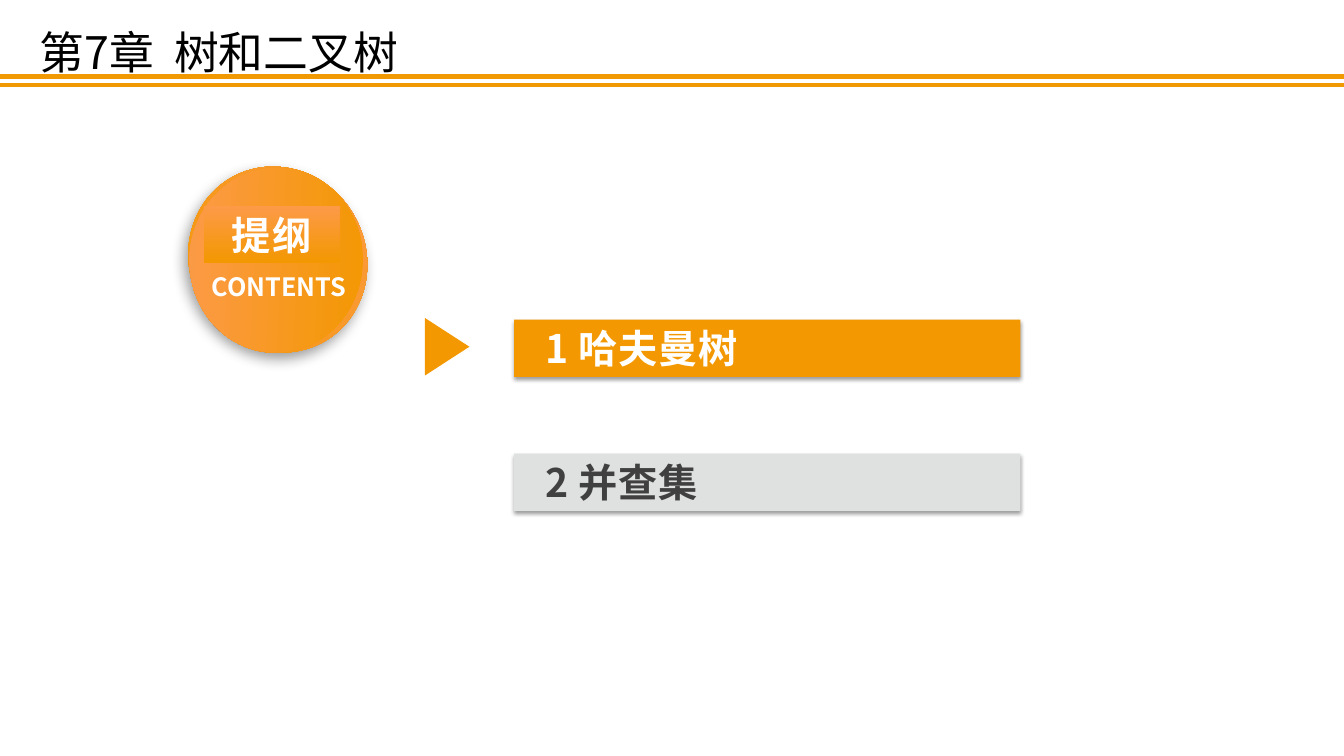
from dataclasses import dataclass

from lxml import etree
from pptx import Presentation
from pptx import util as u
from pptx.dml.color import RGBColor
from pptx.enum import shapes, text
from pptx.oxml.ns import qn


@dataclass(frozen=True)
class Theme:
    font: str = "Noto Sans CJK SC"
    orange: str = "F39801"
    peach: str = "FC9A48"
    rule: str = "F19903"
    grey: str = "DFE1E0"
    dark: str = "404040"
    white: str = "FFFFFF"
    black: str = "000000"
    title_size: int = 32
    heading_size: int = 28
    caption_size: int = 18


class Deck:
    """Draws on one slide; lengths are percentages of its width and height."""

    def __init__(self, theme):
        self.theme = theme
        self.prs = Presentation()
        self.prs.slide_width = u.Inches(13.33)
        self.prs.slide_height = u.Inches(7.5)
        self.slide = self.prs.slides.add_slide(self.prs.slide_layouts[5])

    def box(self, left, top, width, height):
        across, down = self.prs.slide_width / 100, self.prs.slide_height / 100
        return (int(left * across), int(top * down),
                int(width * across), int(height * down))

    def label(self, frame, words, size, color, bold=True, spacing=0,
              align=text.PP_ALIGN.CENTER, indent=0.1):
        frame.word_wrap = True
        frame.auto_size = text.MSO_AUTO_SIZE.NONE
        frame.vertical_anchor = text.MSO_ANCHOR.MIDDLE
        frame.margin_left, frame.margin_right = u.Inches(indent), u.Inches(0.1)
        frame.margin_top = frame.margin_bottom = u.Inches(0.05)
        frame.text = words
        line = frame.paragraphs[0]
        line.alignment = align
        line.font.size, line.font.bold = u.Pt(size), bold
        line.font.color.rgb = RGBColor.from_string(color)
        line.font.name = self.theme.font
        # East Asian typeface and letter spacing
        props = line._p.pPr.find(qn("a:defRPr"))
        props.set("spc", str(int(spacing * 100)))
        etree.SubElement(props, qn("a:ea"), typeface=self.theme.font)

    def title(self, words, *place):
        heading = self.slide.shapes.title
        heading.left, heading.top, heading.width, heading.height = self.box(*place)
        self.label(heading.text_frame, words, self.theme.title_size,
                   self.theme.black, bold=False, align=text.PP_ALIGN.LEFT)

    def rule(self, top):
        left, y, width, _ = self.box(0, top, 100, 0)
        rule = self.slide.shapes.add_connector(
            shapes.MSO_CONNECTOR.STRAIGHT, left, y, left + width, y)
        rule.line.color.rgb = RGBColor.from_string(self.theme.rule)
        rule.line.width = u.Pt(3)
        etree.SubElement(rule._element.spPr, qn("a:effectLst"))

    def shape(self, kind, *place, fill=None, rotation=0, shadow=None):
        """Without a fill colour the shape takes the orange gradient."""
        item = self.slide.shapes.add_shape(kind, *self.box(*place))
        item.rotation = rotation
        item.line.fill.background()
        item.shadow.inherit = False
        if fill:
            item.fill.solid()
            item.fill.fore_color.rgb = RGBColor.from_string(fill)
        else:
            item.fill.gradient()
            item.fill.gradient_angle = 90
            for stop, color in zip(item.fill.gradient_stops,
                                   (self.theme.orange, self.theme.peach)):
                stop.color.rgb = RGBColor.from_string(color)
        if shadow:
            self.cast(item, *shadow)
        return item

    def cast(self, item, opacity, blur, distance, angle):
        effects = item._element.spPr.find(qn("a:effectLst"))
        outer = etree.SubElement(
            effects, qn("a:outerShdw"), blurRad=str(int(u.Pt(blur))),
            dist=str(int(u.Pt(distance))), dir=str(angle * 60000),
            algn="ctr", rotWithShape="0")
        color = etree.SubElement(outer, qn("a:srgbClr"), val=self.theme.black)
        etree.SubElement(color, qn("a:alpha"), val=str(opacity * 1000))

    def caption(self, words, *place):
        caption = self.slide.shapes.add_textbox(*self.box(*place))
        self.label(caption.text_frame, words, self.theme.caption_size,
                   self.theme.white)


def main():
    theme = Theme()
    deck = Deck(theme)
    kinds = shapes.MSO_SHAPE

    # Header
    for top in (10.13, 11.2):
        deck.rule(top)
    deck.title("第7章  树和二叉树", 2.18, 2.53, 57.16, 8.53)

    # Outline entries, the current one in orange
    entries = (("1 哈夫曼树", theme.orange, theme.white),
               ("2 并查集", theme.grey, theme.dark))
    for row, (topic, fill, color) in enumerate(entries):
        bar = deck.shape(kinds.RECTANGLE, 38.26, 42.27 + 17.73 * row, 37.66, 7.6,
                         fill=fill, shadow=(38, 3.1, 1.6, 90))
        deck.label(bar.text_frame, topic, theme.heading_size, color,
                   spacing=0.5, align=text.PP_ALIGN.LEFT, indent=0.31)

    # Contents badge
    deck.shape(kinds.OVAL, 13.65, 22.67, 14.03, 23.33,
               rotation=62.3, shadow=(39, 10, 5, 123))
    deck.shape(kinds.OVAL, 13.65, 22.93, 13.8, 22.93, rotation=273)
    deck.caption("CONTENTS", 13.2, 35.2, 15.15, 5.33)
    badge = deck.shape(kinds.RECTANGLE, 15.15, 27.2, 10.13, 7.6)
    deck.label(badge.text_frame, "提纲", theme.heading_size, theme.white,
               spacing=1.5)

    # Marker beside the current entry
    deck.shape(kinds.ISOSCELES_TRIANGLE, 31.13, 42.93, 4.28, 5.87,
               fill=theme.orange, rotation=90)

    deck.prs.save("out.pptx")


if __name__ == "__main__":
    main()
